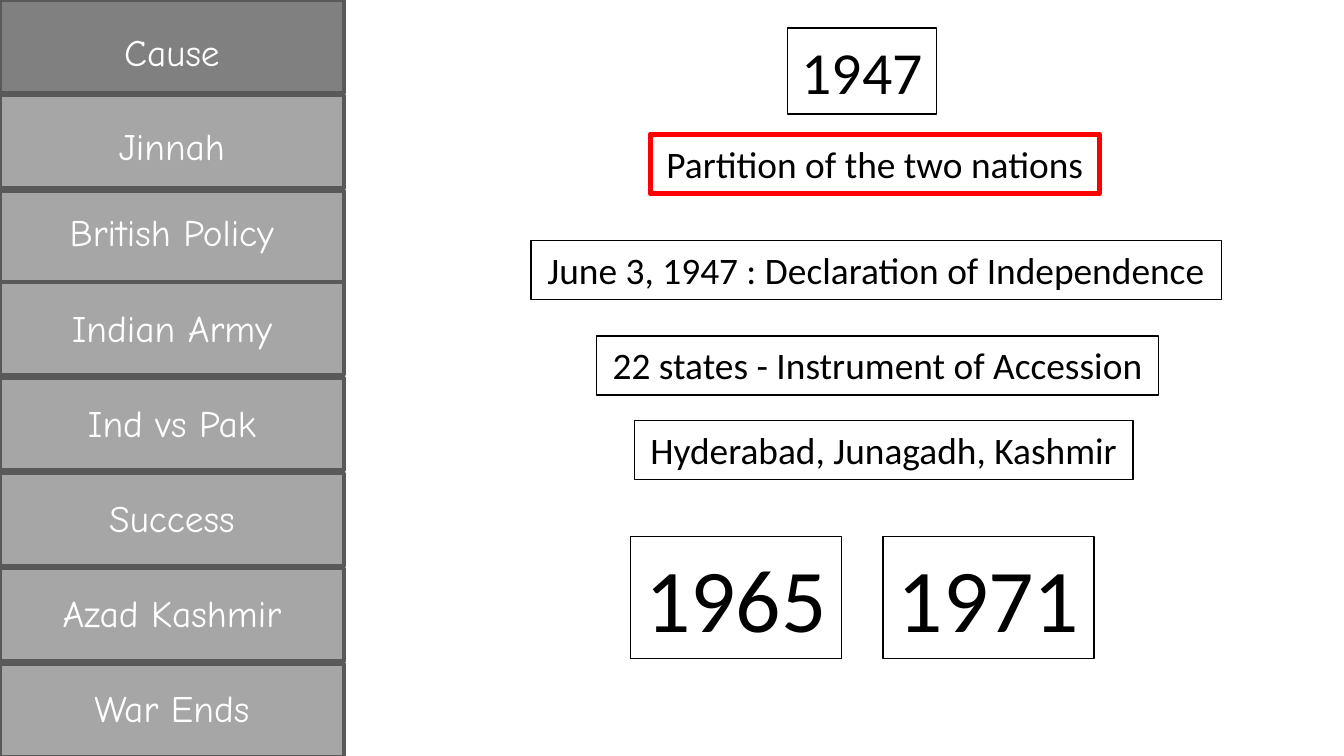
from dataclasses import dataclass

from pptx import Presentation
from pptx.dml.color import RGBColor
from pptx.enum.shapes import MSO_SHAPE
from pptx.enum.text import MSO_AUTO_SIZE, PP_ALIGN
from pptx.shapes.autoshape import Shape
from pptx.slide import Slide
from pptx.util import Inches, Pt

RECTANGLE = MSO_SHAPE.RECTANGLE
CENTER = PP_ALIGN.CENTER
GROW = MSO_AUTO_SIZE.SHAPE_TO_FIT_TEXT


@dataclass(frozen=True)
class Theme:
    active: RGBColor = RGBColor(0x80, 0x80, 0x80)
    inactive: RGBColor = RGBColor(0xA6, 0xA6, 0xA6)
    menu_border: RGBColor = RGBColor(0x59, 0x59, 0x59)
    menu_text: RGBColor = RGBColor(0xFF, 0xFF, 0xFF)
    ink: RGBColor = RGBColor(0, 0, 0)
    highlight: RGBColor = RGBColor(0xFF, 0, 0)
    menu_font: str = "Comic Neue"
    fact_font: str = "Calibri"
    body: int = 20
    year: int = 32
    big_year: int = 48
    thin: float = 0.75
    medium: float = 2
    thick: float = 3


THEME = Theme()


@dataclass(frozen=True)
class Fact:
    text: str
    left: float
    top: float
    width: float
    height: float = 0.44
    size: int = THEME.body
    border: RGBColor = THEME.ink
    border_width: float = THEME.thin


SLIDE_WIDTH = Inches(10)
SLIDE_HEIGHT = SLIDE_WIDTH * 9 // 16

# Menu geometry: the lower rows and labels sit slightly higher than the pitch
MENU_WIDTH = 2.56
ROW_HEIGHT = 0.69
ROW_PITCH = 0.71
LABEL_HEIGHT = 0.44
MENU = ("Cause", "Jinnah", "British Policy", "Indian Army",
        "Ind vs Pak", "Success", "Azad Kashmir", "War Ends")
ACTIVE_TOPIC = "Cause"

FACTS = (
    Fact("1947", 5.86, 0.21, 1.11, 0.64, THEME.year),
    Fact("Partition of the two nations", 4.84, 1, 3.34,
         border=THEME.highlight, border_width=THEME.thick),
    Fact("June 3, 1947 : Declaration of Independence", 3.95, 1.79, 5.14),
    Fact("22 states - Instrument of Accession", 4.44, 2.5, 4.18),
    Fact("Hyderabad, Junagadh, Kashmir", 4.72, 3.13, 3.71),
    Fact("1965", 4.69, 3.99, 1.57, 0.91, THEME.big_year),
    Fact("1971", 6.57, 3.99, 1.57, 0.91, THEME.big_year),
)


def add_text(slide: Slide, text: str, left: float, top: float, width: float,
             height: float, font_name: str, size: int, color: RGBColor,
             wrap: bool) -> Shape:
    box = slide.shapes.add_textbox(Inches(left), Inches(top),
                                   Inches(width), Inches(height))
    frame = box.text_frame
    frame.text = text
    frame.word_wrap = wrap
    frame.auto_size = GROW
    paragraph = frame.paragraphs[0]
    paragraph.alignment = CENTER
    font = paragraph.runs[0].font
    font.name = font_name
    font.size = Pt(size)
    font.color.rgb = color
    return box


def add_menu_row(slide: Slide, index: int, topic: str) -> None:
    row_top = index * ROW_PITCH - (0.03 if index >= 3 else 0)
    row = slide.shapes.add_shape(RECTANGLE, 0, Inches(row_top),
                                 Inches(MENU_WIDTH), Inches(ROW_HEIGHT))
    row.shadow.inherit = False
    row.fill.solid()
    row.fill.fore_color.rgb = (
        THEME.active if topic == ACTIVE_TOPIC else THEME.inactive)
    row.line.color.rgb = THEME.menu_border
    row.line.width = Pt(THEME.medium)


def add_menu_label(slide: Slide, index: int, topic: str) -> None:
    top = 0.17 + 0.7 * index if index < 2 else 1.51 + (index - 2) * 3.54 / 5
    add_text(slide, topic, 0, top, MENU_WIDTH, LABEL_HEIGHT,
             THEME.menu_font, THEME.body, THEME.menu_text, True)


def add_fact(slide: Slide, fact: Fact) -> None:
    box = add_text(slide, fact.text, fact.left, fact.top, fact.width,
                   fact.height, THEME.fact_font, fact.size, THEME.ink, False)
    box.line.color.rgb = fact.border
    box.line.width = Pt(fact.border_width)


def main() -> None:
    presentation = Presentation()
    presentation.slide_width = SLIDE_WIDTH
    presentation.slide_height = SLIDE_HEIGHT
    slide = presentation.slides.add_slide(presentation.slide_layouts[6])

    # Topic menu on the left
    for index, topic in enumerate(MENU):
        add_menu_row(slide, index, topic)
        add_menu_label(slide, index, topic)

    # Boxed dates and events
    for fact in FACTS:
        add_fact(slide, fact)

    presentation.save("out.pptx")


if __name__ == "__main__":
    main()
